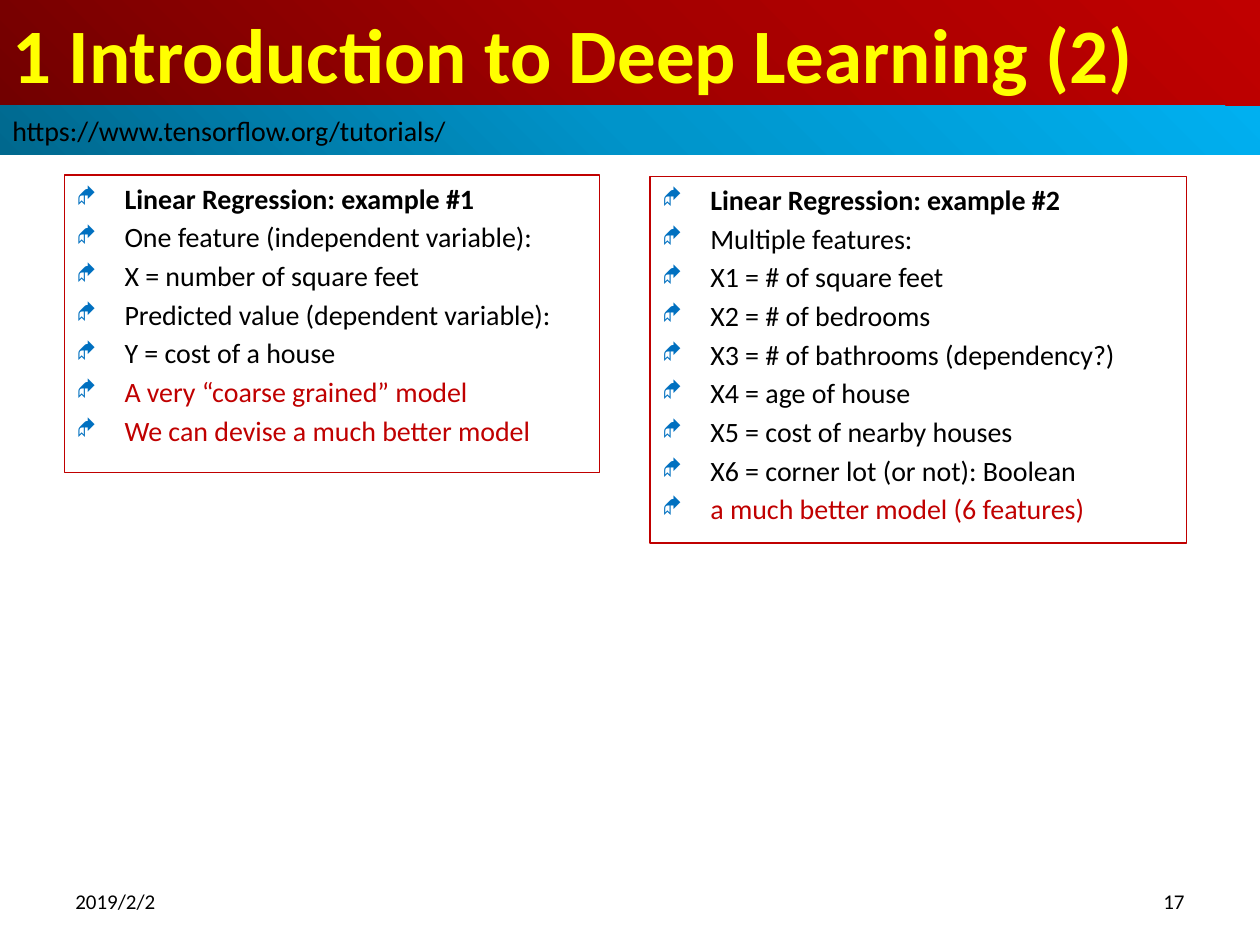
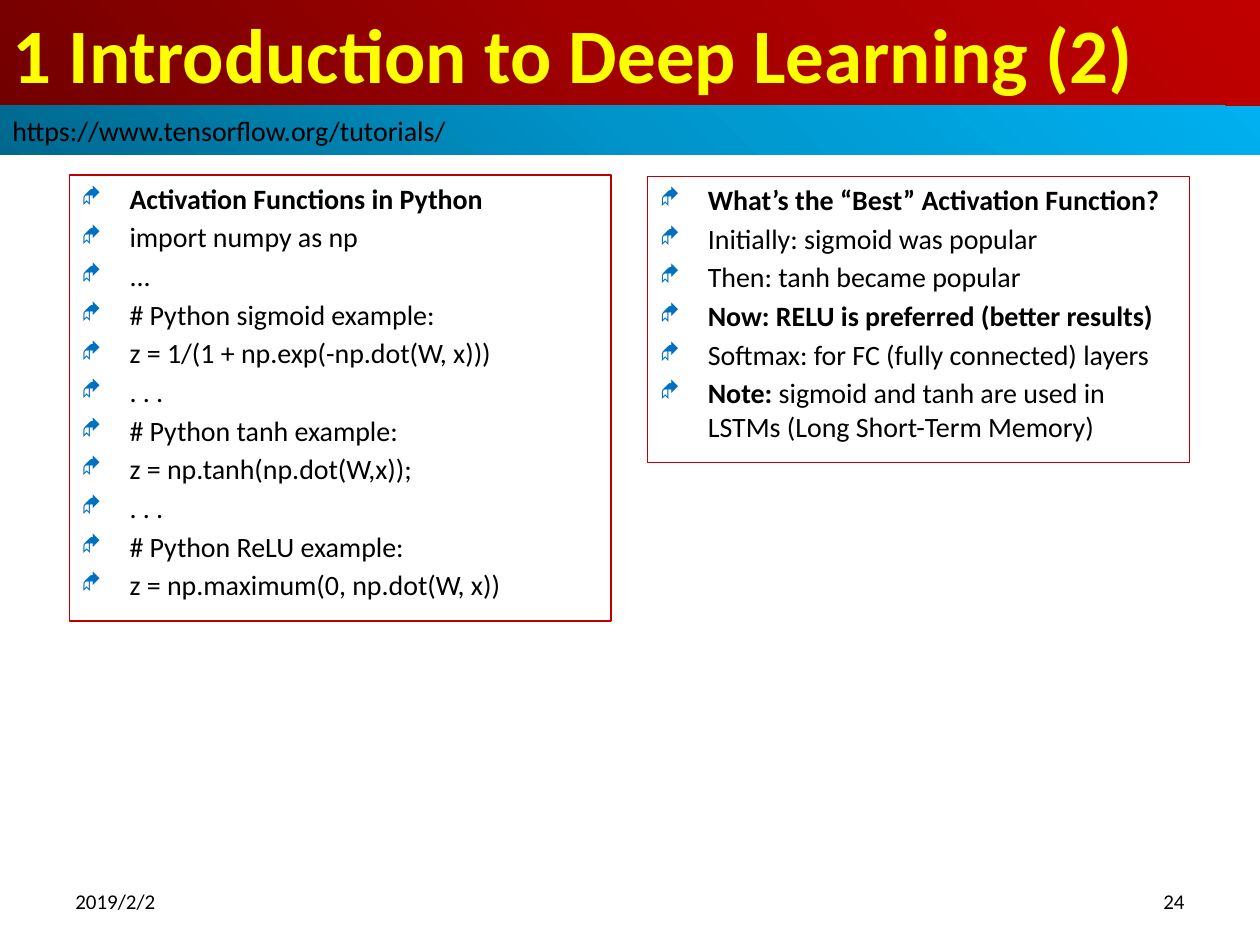
from lxml.etree import SubElement
from pptx import Presentation
from pptx.dml.color import RGBColor
from pptx.enum.shapes import MSO_SHAPE
from pptx.enum.text import MSO_ANCHOR, PP_ALIGN
from pptx.oxml.ns import qn
from pptx.util import Inches, Pt

COLOURS = {
    "title": "FFFF00",
    "text": "000000",
    "accent": "C00000",
    "bullet": "0070C0",
}
TITLE_GRADIENT = ("720000", "A20000", "C00000")
LINK_GRADIENT = ("00688E", "0094CA", "00B0F0")
FONT = "Calibri"
TITLE = "1 Introduction to Deep Learning (2)"
LINK = "https://www.tensorflow.org/tutorials/"
DATE = "2019/2/2"
INDENT = Inches(0.38)


def bold(text):
    return text, True, "text"


def red(text):
    return text, False, "accent"


def plain(text):
    return text, False, "text"


# Each panel is its box (left, top, width, height) and its paragraphs;
# a paragraph is a list of runs.
SLIDES = [
    (17, [
        ((0.51, 1.39, 4.25, 2.36), [
            [bold("Linear Regression: example #1")],
            [plain("One feature (independent variable):")],
            [plain("X = number of square feet")],
            [plain("Predicted value (dependent variable):")],
            [plain("Y = cost of a house")],
            [red("A very “coarse grained” model")],
            [red("We can devise a much better model")],
        ]),
        ((5.16, 1.4, 4.26, 2.91), [
            [bold("Linear Regression: example #2")],
            [plain("Multiple features:")],
            [plain("X1 = # of square feet")],
            [plain("X2 = # of bedrooms")],
            [plain("X3 = # of bathrooms (dependency?)")],
            [plain("X4 = age of house")],
            [plain("X5 = cost of nearby houses")],
            [plain("X6 = corner lot (or not): Boolean")],
            [red("a much better model (6 features)")],
        ]),
    ]),
    (24, [
        ((0.55, 1.39, 4.3, 3.54), [
            [bold("Activation Functions in Python")],
            [plain("import numpy as np")],
            [plain("...")],
            [plain("# Python sigmoid example:")],
            [plain("z = 1/(1 + np.exp(-np.dot(W, x)))")],
            [plain(". . .")],
            [plain("# Python tanh example:")],
            [plain("z = np.tanh(np.dot(W,x));")],
            [plain(". . .")],
            [plain("# Python ReLU example:")],
            [plain("z = np.maximum(0, np.dot(W, x))")],
        ]),
        ((5.14, 1.4, 4.3, 2.27), [
            [bold("What’s the “Best” Activation Function?")],
            [plain("Initially: sigmoid was popular")],
            [plain("Then: tanh became popular")],
            [bold("Now: RELU is preferred (better results)")],
            [plain("Softmax: for FC (fully connected) layers")],
            [bold("Note: "),
             plain("sigmoid and tanh are used in LSTMs (Long Short-Term Memory)")],
        ]),
    ]),
]


def format_run(run, size, colour="text", is_bold=False):
    run.font.name = FONT
    run.font.size = Pt(size)
    run.font.bold = is_bold
    run.font.color.rgb = RGBColor.from_string(COLOURS[colour])


def set_line_of_text(shape, text, size, colour="text", is_bold=False,
                     align=PP_ALIGN.LEFT):
    frame = shape.text_frame
    frame.word_wrap = True
    frame.vertical_anchor = MSO_ANCHOR.MIDDLE
    frame.text = text
    paragraph = frame.paragraphs[0]
    paragraph.alignment = align
    format_run(paragraph.runs[0], size, colour, is_bold)


def add_rectangle(slide, box):
    shape = slide.shapes.add_shape(MSO_SHAPE.RECTANGLE, *map(Inches, box))
    shape.shadow.inherit = False
    return shape


def set_corner_gradient(shape, colours):
    """Radiate the colours from the lower left corner."""
    shape.fill.gradient()
    gradient = shape.element.spPr.find(qn("a:gradFill"))
    for child in list(gradient):
        gradient.remove(child)
    stops = SubElement(gradient, qn("a:gsLst"))
    for position, colour in zip((0, 50000, 100000), colours):
        stop = SubElement(stops, qn("a:gs"), pos=str(position))
        SubElement(stop, qn("a:srgbClr"), val=colour)
    circle = SubElement(gradient, qn("a:path"), path="circle")
    SubElement(circle, qn("a:fillToRect"), t="100000", r="100000")


def add_band(slide, top, height, gradient, text, size, **style):
    band = add_rectangle(slide, (0, top, 10, height))
    set_corner_gradient(band, gradient)
    band.line.fill.background()
    set_line_of_text(band, text, size, **style)


def add_footer(slide, left, text, align):
    footer = slide.shapes.add_textbox(
        Inches(left), Inches(6.95), Inches(2.33), Inches(0.4))
    set_line_of_text(footer, text, 12, align=align)


def add_bullet(paragraph):
    properties = paragraph._p.get_or_add_pPr()
    properties.set("marL", str(INDENT))
    properties.set("indent", str(-INDENT))
    colour = SubElement(properties, qn("a:buClr"))
    SubElement(colour, qn("a:srgbClr"), val=COLOURS["bullet"])
    SubElement(properties, qn("a:buSzPct"), val="80000")
    SubElement(properties, qn("a:buFont"), typeface="Wingdings")
    SubElement(properties, qn("a:buChar"), char="◆")


def add_bullet_panel(slide, box, paragraphs):
    panel = add_rectangle(slide, box)
    panel.fill.background()
    panel.line.color.rgb = RGBColor.from_string(COLOURS["accent"])
    panel.line.width = Pt(0.75)
    frame = panel.text_frame
    frame.word_wrap = True
    frame.vertical_anchor = MSO_ANCHOR.TOP
    for index, runs in enumerate(paragraphs):
        paragraph = frame.add_paragraph() if index else frame.paragraphs[0]
        add_bullet(paragraph)
        paragraph.alignment = PP_ALIGN.LEFT
        if index:
            paragraph.space_before = Pt(2.9)
        for text, is_bold, colour in runs:
            run = paragraph.add_run()
            run.text = text
            format_run(run, 16, colour, is_bold)


def add_slide(presentation, number, panels):
    slide = presentation.slides.add_slide(presentation.slide_layouts[6])
    # Title and link bands
    add_band(slide, 0, 0.84, TITLE_GRADIENT, TITLE, 44,
             colour="title", is_bold=True)
    add_band(slide, 0.84, 0.39, LINK_GRADIENT, LINK, 16)
    # Bulleted panels
    for box, paragraphs in panels:
        add_bullet_panel(slide, box, paragraphs)
    # Date and slide number
    add_footer(slide, 0.5, DATE, PP_ALIGN.LEFT)
    add_footer(slide, 7.17, str(number), PP_ALIGN.RIGHT)


def main():
    presentation = Presentation()
    presentation.slide_width = Inches(10)
    presentation.slide_height = Inches(7.5)
    for number, panels in SLIDES:
        add_slide(presentation, number, panels)
    presentation.save("out.pptx")


if __name__ == "__main__":
    main()
